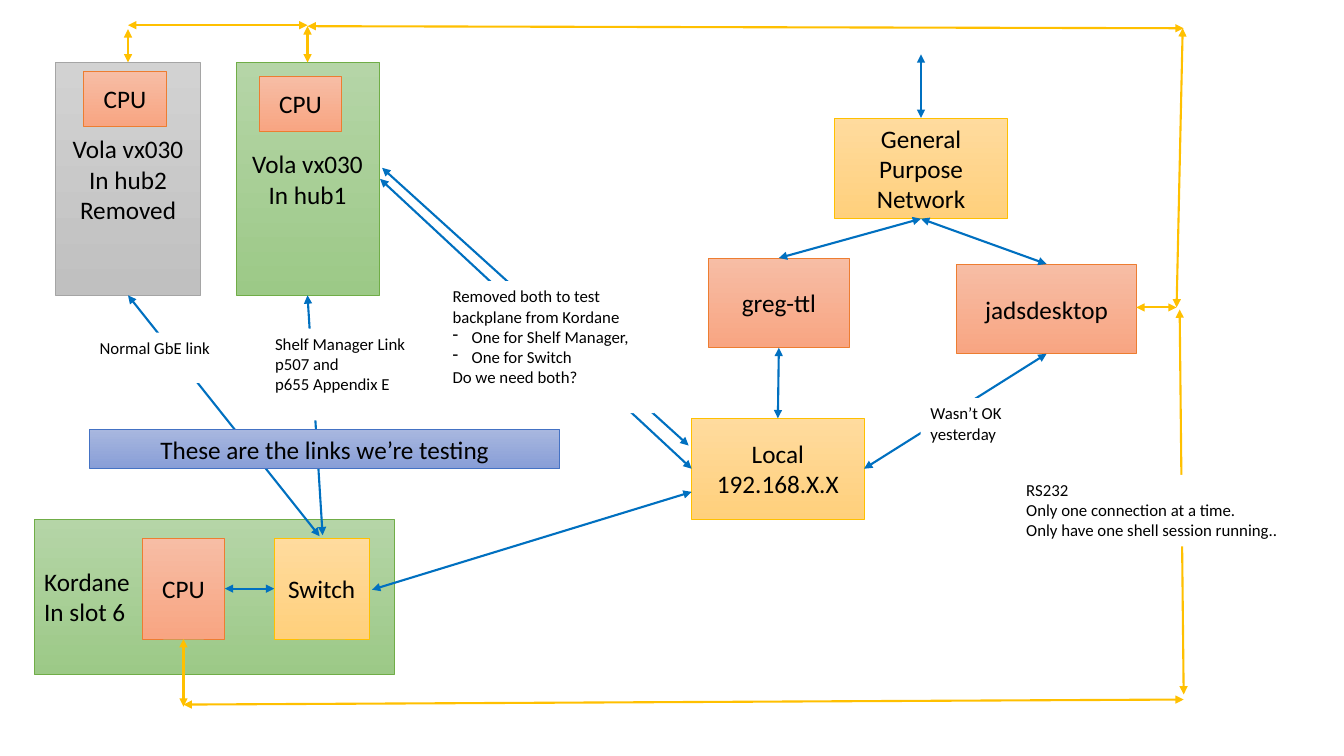
from dataclasses import dataclass
from lxml import etree
from pptx import Presentation
from pptx.dml.color import RGBColor
from pptx.enum.shapes import MSO_CONNECTOR, MSO_SHAPE
from pptx.enum.text import MSO_ANCHOR, PP_ALIGN
from pptx.oxml.ns import qn
from pptx.util import Inches, Pt

RECT = MSO_SHAPE.RECTANGLE
LINE = MSO_CONNECTOR.STRAIGHT
LEFT, MID = PP_ALIGN.LEFT, PP_ALIGN.CENTER
TOP, CENTER = MSO_ANCHOR.TOP, MSO_ANCHOR.MIDDLE


@dataclass(frozen=True)
class Theme:
    font: str = "Calibri"
    big: int = 18
    small: int = 12
    ink: str = "000000"
    paper: str = "FFFFFF"
    link: str = "0070C0"
    serial: str = "FFC000"
    # Each tint: gradient top, gradient bottom, outline
    green: tuple = ("B5D5A7", "9CC987", "70AD47")
    gray: tuple = ("D2D2D2", "C0C0C0", "A5A5A5")
    peach: tuple = ("F7BDA5", "F8A582", "ED7D31")
    gold: tuple = ("FFDB9E", "FFD07C", "FFC000")
    blue: tuple = ("A8B7DF", "889ED7", "4472C4")


T = Theme()
prs = Presentation()
prs.slide_width, prs.slide_height = Inches(13.33), Inches(7.5)
slide = prs.slides.add_slide(prs.slide_layouts[6])


def rgb(code):
    return RGBColor.from_string(code)


# Geometry: boxes are (left, top, width, height)
def sub(box, dx, dy, w, h):
    return box[0] + dx, box[1] + dy, w, h


def spot(box, fx, fy):
    return box[0] + fx * box[2], box[1] + fy * box[3]


def top(box):
    return spot(box, 0.5, 0)


def base(box):
    return spot(box, 0.5, 1)


def west(box):
    return spot(box, 0, 0.5)


def east(box):
    return spot(box, 1, 0.5)


# Text: one paragraph per line, a leading "- " makes a dash item
def write(shape, text, size=T.big, align=MID, anchor=CENTER, wrap=True):
    frame = shape.text_frame
    frame.word_wrap, frame.vertical_anchor = wrap, anchor
    for i, line in enumerate(text.split("\n")):
        para = frame.paragraphs[0] if i == 0 else frame.add_paragraph()
        para.alignment = align
        run = para.add_run()
        run.text = line.removeprefix("- ")
        run.font.name, run.font.size = T.font, Pt(size)
        run.font.color.rgb = rgb(T.ink)
        if line.startswith("- "):
            props = para._p.get_or_add_pPr()
            props.set("marL", str(Inches(0.19)))
            props.set("indent", str(-Inches(0.19)))
            etree.SubElement(props, qn("a:buChar")).set("char", "-")


def block(box):
    shape = slide.shapes.add_shape(RECT, *map(Inches, box))
    shape.shadow.inherit = False
    return shape


def node(box, text, tint, align=MID):
    shape = block(box)
    shape.fill.gradient()
    shape.fill.gradient_angle = 270
    for stop, code in zip(shape.fill.gradient_stops, tint):
        stop.color.rgb = rgb(code)
    shape.line.color.rgb = rgb(tint[2])
    shape.line.width = Pt(0.5)
    write(shape, text, align=align)
    return box


def note(box, text, wrap=True):
    shape = block(box)
    shape.fill.solid()
    shape.fill.fore_color.rgb = rgb(T.paper)
    shape.line.fill.background()
    write(shape, text, size=T.small, align=LEFT, anchor=TOP, wrap=wrap)


def link(start, end, color=T.link):
    wire = slide.shapes.add_connector(LINE, *map(Inches, (*start, *end)))
    wire.line.color.rgb = rgb(color)
    wire.line.width = Pt(1.5)
    stroke = wire.line._get_or_add_ln()
    for tag in ("a:headEnd", "a:tailEnd"):
        etree.SubElement(stroke, qn(tag)).set("type", "triangle")
    etree.SubElement(wire._element.spPr, qn("a:effectLst"))


# Hub board with its processor
def hub(box, text, tint, dx, dy):
    node(box, text, tint)
    node(sub(box, dx, dy, 0.82, 0.54), "CPU", T.peach)
    return box


# Slot board with processor and switch
def slot(box):
    node(box, "Kordane\nIn slot 6", T.green, align=LEFT)
    cpu = node(sub(box, 1.07, 0.19, 0.82, 1), "CPU", T.peach)
    switch = node(sub(box, 2.38, 0.19, 0.94, 1), "Switch", T.gold)
    link(west(switch), east(cpu))
    return cpu, switch


# Networks and the two computers between them
def network(box):
    wide = node(sub(box, 1.42, 0, 1.71, 1),
                "General Purpose Network", T.gold)
    greg = node(sub(box, 0.17, 1.39, 1.39, 0.89), "greg-ttl", T.peach)
    desk = node(sub(box, 2.63, 1.45, 1.78, 0.89), "jadsdesktop", T.peach)
    local = node(sub(box, 0, 2.98, 1.71, 1), "Local\n192.168.X.X", T.gold)
    x, y = top(wide)
    link((x, y - 0.63), (x, y))
    for pc in (greg, desk):
        link(base(wide), top(pc))
    link(base(greg), top(local))
    link(base(desk), east(local))
    return desk, local


# Tested links from the shelf to the local network
def tests(hub1, hub2, switch, local):
    x, y = top(switch)
    link(base(hub1), (x + 0.01, y - 0.03))
    link(base(hub2), (x - 0.02, y - 0.02))
    x, y = east(hub1)
    link(west(local), (x + 0.01, y))
    link((local[0] - 0.03, local[1] + 0.27), (x + 0.03, y - 0.11))
    link(spot(local, 0, 0.73), (switch[0] + 0.97, switch[1] + 0.51))


# Serial loop around the given box
def serial(box, hub1, hub2, cpu, desk):
    x, y, w, h = box
    right, foot = x + w, y + h
    one, two, low = top(hub1)[0], top(hub2)[0], base(cpu)[0]
    tap = (right - 0.07, desk[1] + 0.43)
    for start, end in (
        ((two, y + 0.04), top(hub2)),
        ((one, y), (two, y)),
        (top(hub1), (one, y + 0.01)),
        ((one, y + 0.01), (right, y + 0.03)),
        (tap, (right - 0.01, y + 0.03)),
        (tap, (desk[0] + desk[2], tap[1])),
        ((right - 0.04, tap[1] + 0.02), (right, foot - 0.1)),
        ((low, foot), (right, foot - 0.05)),
        (base(cpu), (low, foot + 0.02)),
    ):
        link(start, end, T.serial)


# Notes cover the links they label
def notes(box):
    note(sub(box, 8.24, 1.16, 0.95, 0.5), "Wasn’t OK yesterday")
    note(sub(box, 3.5, 0, 2.1, 1.31),
         "Removed both to test backplane from Kordane\n"
         "- One for Shelf Manager,\n- One for Switch\nDo we need both?")
    note(sub(box, 1.74, 0.47, 1.73, 0.91),
         "Shelf Manager Link\np507 and\np655 Appendix E")
    note(sub(box, 0, 0.51, 1.3, 0.5), "Normal GbE link")
    note(sub(box, 9.19, 1.92, 2.76, 0.71),
         "RS232\nOnly one connection at a time.\n"
         "Only have one shell session running..", wrap=False)
    node(sub(box, 0, 1.47, 4.66, 0.39),
         "These are the links we’re testing", T.blue)


hub1 = hub((2.34, 0.62, 1.42, 2.31), "Vola vx030\nIn hub1", T.green, 0.23, 0.14)
hub2 = hub((0.55, 0.62, 1.44, 2.31), "Vola vx030\nIn hub2\nRemoved",
           T.gray, 0.28, 0.09)
cpu, switch = slot((0.34, 5.15, 3.57, 1.54))
desk, local = network((6.86, 1.17, 4.41, 3.98))
tests(hub1, hub2, switch, local)
serial((1.26, 0.25, 10.48, 6.74), hub1, hub2, cpu, desk)
notes((0.89, 2.79, 11.95, 2.63))
prs.save("out.pptx")
